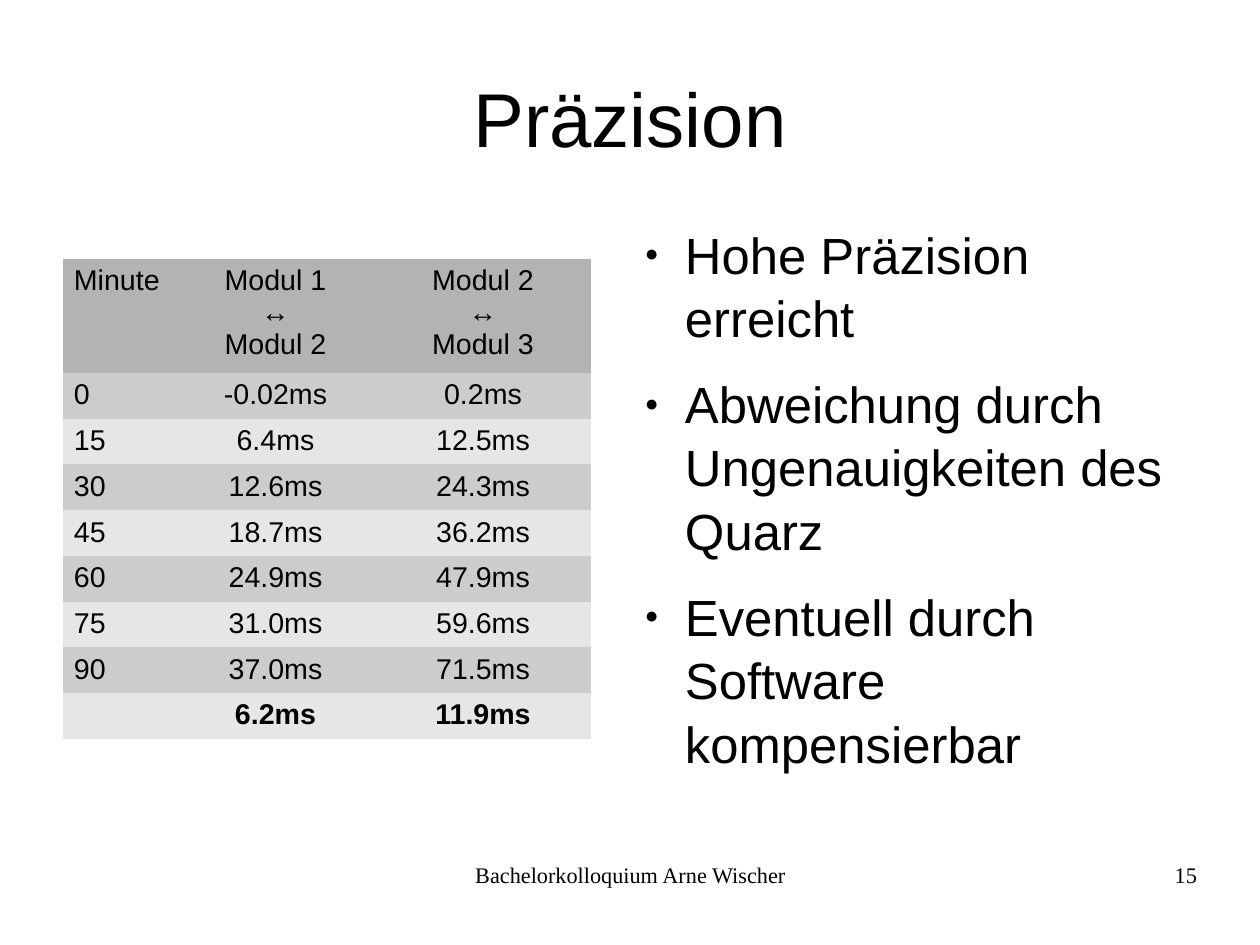
from lxml import etree
from pptx import Presentation
from pptx.dml.color import RGBColor
from pptx.enum.text import MSO_ANCHOR, MSO_AUTO_SIZE, PP_ALIGN
from pptx.oxml.ns import qn
from pptx.util import Pt

PX = 8000  # EMU per px
LEFT, MID, RIGHT = PP_ALIGN.LEFT, PP_ALIGN.CENTER, PP_ALIGN.RIGHT
TOP, CENTER = MSO_ANCHOR.TOP, MSO_ANCHOR.MIDDLE
FIXED = MSO_AUTO_SIZE.NONE
SANS, SERIF = "Arial", "Times New Roman"
PLAIN = "{2D5ABB26-0587-4C30-8999-92F81FD0307C}"  # table style without grid
COLORS = {"text": "000000", "head": "B3B3B3", "odd": "CCCCCC", "even": "E6E6E6"}

ROWS = [
    ("Minute", "Modul 1\n↔\nModul 2", "Modul 2\n↔\nModul 3"),
    ("0", "-0.02ms", "0.2ms"),
    ("15", "6.4ms", "12.5ms"),
    ("30", "12.6ms", "24.3ms"),
    ("45", "18.7ms", "36.2ms"),
    ("60", "24.9ms", "47.9ms"),
    ("75", "31.0ms", "59.6ms"),
    ("90", "37.0ms", "71.5ms"),
    ("", "6.2ms", "11.9ms"),
]
POINTS = [
    "Hohe Präzision erreicht",
    "Abweichung durch Ungenauigkeiten des Quarz",
    "Eventuell durch Software kompensierbar",
]


def color(name):
    return RGBColor.from_string(COLORS[name])


def style(para, size, face=SANS, align=LEFT, bold=False):
    para.alignment = align
    font = para.font
    font.name, font.size, font.bold = face, Pt(size), bold
    font.color.rgb = color("text")


def place(shape, box, anchor=TOP):
    """Move a text shape into its box and clear its margins."""
    shape.left, shape.top, shape.width, shape.height = [v * PX for v in box]
    frame = shape.text_frame
    frame.margin_left = frame.margin_right = 0
    frame.margin_top = frame.margin_bottom = 0
    frame.word_wrap, frame.auto_size = True, FIXED
    frame.vertical_anchor = anchor
    return frame


def add_title(slide, box):
    frame = place(slide.shapes.title, box, CENTER)
    frame.text = "Präzision"
    style(frame.paragraphs[0], 48, align=MID)


def add_bullet(para):
    props = para._p.get_or_add_pPr()
    props.set("marL", str(54 * PX))
    props.set("indent", str(-40 * PX))
    etree.SubElement(props, qn("a:buSzPct")).set("val", "45000")
    etree.SubElement(props, qn("a:buChar")).set("char", "●")


def add_list(slide, box):
    frame = place(slide.placeholders[1], box)
    frame.text = "\n".join(POINTS)
    for para in frame.paragraphs:
        add_bullet(para)
        para.space_before, para.space_after = Pt(0), Pt(14.2)
        para.line_spacing = 1.04
        style(para, 32)


def fill_cell(cell, text, fill, align, bold):
    cell.fill.solid()
    cell.fill.fore_color.rgb = color(fill)
    cell.margin_left = cell.margin_right = 11 * PX
    cell.margin_top = cell.margin_bottom = 6 * PX
    cell.text = text
    for para in cell.text_frame.paragraphs:
        style(para, 18, align=align, bold=bold)


def add_times(slide, box):
    left, top, width, height = [v * PX for v in box]
    table = slide.shapes.add_table(len(ROWS), 3, left, top, width, height).table
    table._tbl.tblPr.find(qn("a:tableStyleId")).text = PLAIN
    table.first_row = table.horz_banding = False
    # A tall header, then equal rows
    head = 114 * PX
    step = (height - head) // (len(ROWS) - 1)
    for col, size in zip(table.columns, (113, 199, 216)):
        col.width = size * PX
    for r, row in enumerate(ROWS):
        table.rows[r].height = step if r else head
        fill = ("even", "odd")[r % 2] if r else "head"
        for c, text in enumerate(row):
            fill_cell(table.cell(r, c), text, fill, MID if c else LEFT,
                      r == len(ROWS) - 1)


def add_note(slide, box, text, align):
    frame = place(slide.shapes.add_textbox(0, 0, 0, 0), box)
    frame.text = text
    style(frame.paragraphs[0], 14, SERIF, align)


def main():
    deck = Presentation()
    deck.slide_width, deck.slide_height = 1260 * PX, 945 * PX
    slide = deck.slides.add_slide(deck.slide_layouts[1])
    add_title(slide, (63, 38, 1134, 158))
    add_times(slide, (63, 259, 528, 480))
    add_list(slide, (631, 221, 541, 614))
    # Footer and page number
    add_note(slide, (431, 861, 399, 65), "Bachelorkolloquium Arne Wischer", MID)
    add_note(slide, (903, 861, 294, 65), "15", RIGHT)
    deck.save("out.pptx")


if __name__ == "__main__":
    main()
